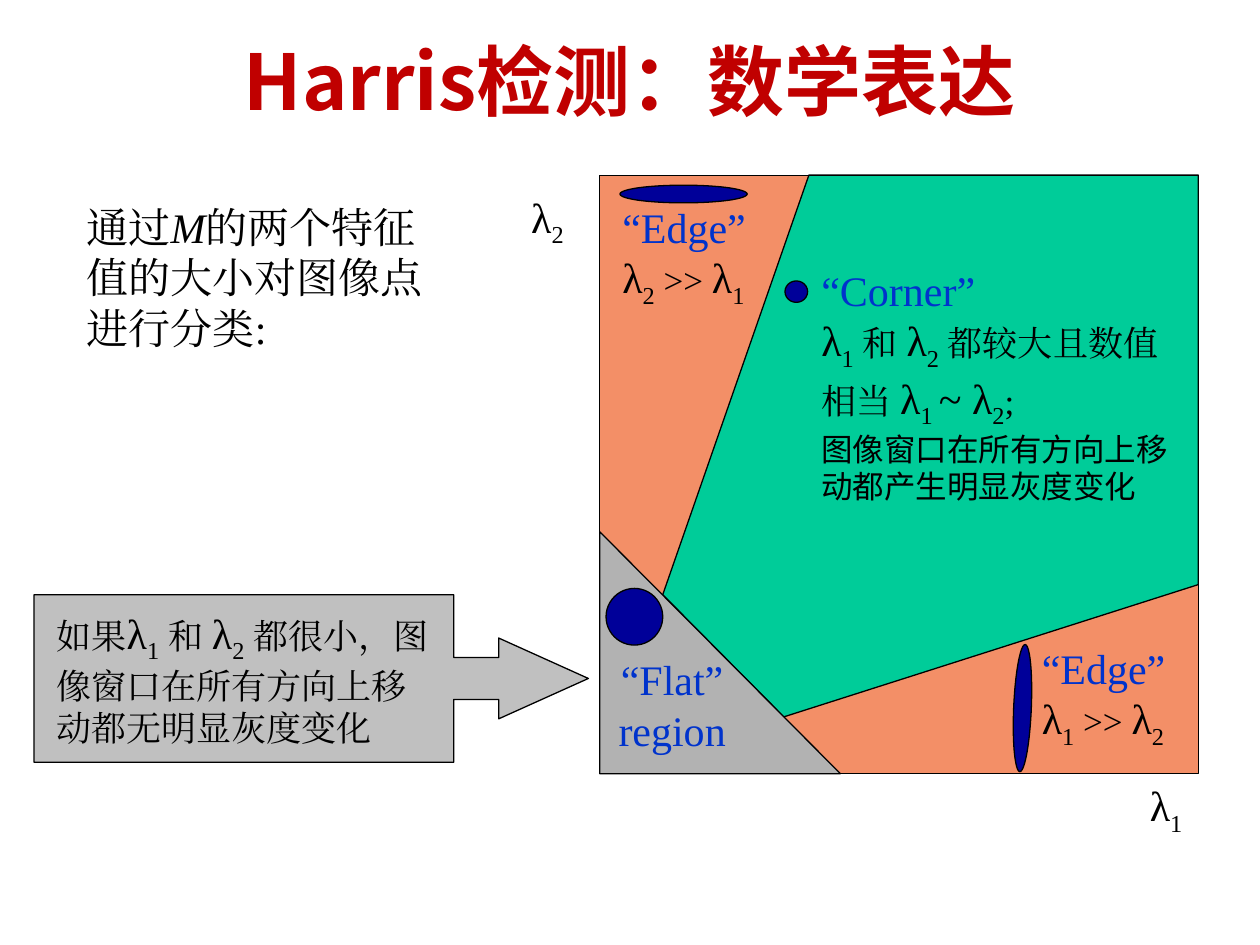
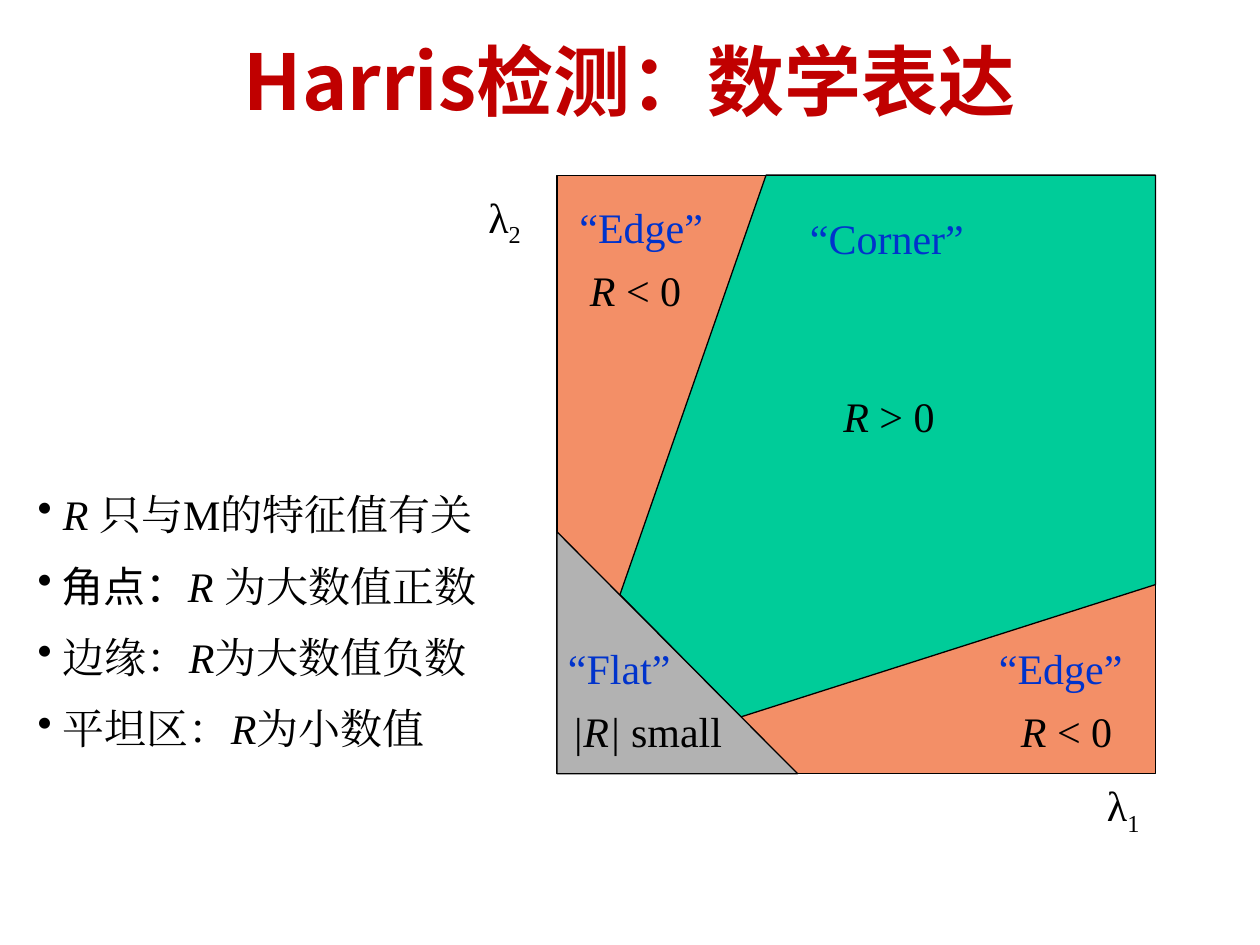
"""Build two slides on classifying image points by Harris eigenvalues."""
from dataclasses import dataclass

from lxml import etree
from pptx import Presentation
from pptx.dml.color import RGBColor
from pptx.enum.shapes import MSO_SHAPE
from pptx.enum.text import PP_ALIGN
from pptx.oxml.ns import qn
from pptx.util import Pt

PX = 9144
RECTANGLE = MSO_SHAPE.RECTANGLE
TRIANGLE = MSO_SHAPE.RIGHT_TRIANGLE
ELLIPSE = MSO_SHAPE.OVAL
CALLOUT = MSO_SHAPE.RIGHT_ARROW_CALLOUT
LEFT, CENTER = PP_ALIGN.LEFT, PP_ALIGN.CENTER


@dataclass(frozen=True)
class Theme:
    title: str = "C00000"
    ink: str = "000000"
    label: str = "0033CC"
    edge: str = "F38F67"
    corner: str = "00CC99"
    flat: str = "B2B2B2"
    callout: str = "C0C0C0"
    marker: str = "000099"
    title_font: str = "Noto Sans CJK SC"
    body_font: str = "Times New Roman"
    note_font: str = "Calibri"
    title_size: int = 44
    body_size: int = 24
    text_size: int = 20
    note_size: int = 18
    line_width: float = 0.75
    bullet_gap: int = 12


THEME = Theme()
TITLE = "Harris检测：数学表达"
SMALL = {"size": THEME.text_size}
NOTE = {"size": THEME.note_size, "font": THEME.note_font}
LABEL = {"color": THEME.label}
ITALIC_R = ("R", {"italic": True})


def eigenvalue(index):
    return ["λ", (index, {"subscript": True})]


def write(paragraph, text, size=THEME.body_size, font=THEME.body_font, color=THEME.ink,
          bold=False, italic=False, subscript=False):
    for number, line in enumerate(text.split("\n")):
        if number:
            paragraph.add_line_break()
        if not line:
            continue
        run = paragraph.add_run()
        run.text = line
        run.font.size = Pt(size)
        run.font.name = font
        run.font.bold = bold
        run.font.italic = italic
        run.font.color.rgb = RGBColor.from_string(color)
        properties = run.font._element
        etree.SubElement(properties, qn("a:ea"), typeface=font)
        if subscript:
            properties.set("baseline", "-25000")


class Deck:
    def __init__(self, theme):
        self.theme = theme
        self.presentation = Presentation()
        self.presentation.slide_width = 1000 * PX
        self.presentation.slide_height = 750 * PX
        self.slide = None

    def new_slide(self, title):
        self.slide = self.presentation.slides.add_slide(self.presentation.slide_layouts[6])
        style = {"size": self.theme.title_size, "font": self.theme.title_font,
                 "color": self.theme.title, "bold": True}
        self.text(50, 30, 900, 125, [[(title, style)]], align=CENTER, spacing=0.9)

    def paint(self, shape, fill):
        shape.shadow.inherit = False
        shape.fill.solid()
        shape.fill.fore_color.rgb = RGBColor.from_string(fill)
        shape.line.color.rgb = RGBColor.from_string(self.theme.ink)
        shape.line.width = Pt(self.theme.line_width)

    def shape(self, kind, left, top, width, height, fill, rotation=0, adjustments=()):
        shape = self.slide.shapes.add_shape(kind, left * PX, top * PX, width * PX, height * PX)
        shape.rotation = rotation
        for index, value in enumerate(adjustments):
            shape.adjustments[index] = value
        self.paint(shape, fill)

    def polygon(self, points, fill):
        builder = self.slide.shapes.build_freeform(*points[0], scale=PX)
        builder.add_line_segments(points[1:], close=True)
        self.paint(builder.convert_to_shape(), fill)

    def text(self, left, top, width, height, paragraphs, align=LEFT, wrap=True,
             bullet=None, spacing=None):
        box = self.slide.shapes.add_textbox(left * PX, top * PX, width * PX, height * PX)
        frame = box.text_frame
        frame.word_wrap = wrap
        for number, runs in enumerate(paragraphs):
            paragraph = frame.add_paragraph() if number else frame.paragraphs[0]
            paragraph.alignment = align
            if spacing:
                paragraph.line_spacing = spacing
            if number:
                paragraph.space_before = Pt(self.theme.bullet_gap)
            if bullet:
                properties = paragraph._p.get_or_add_pPr()
                properties.set("marL", "0")
                properties.set("indent", "0")
                etree.SubElement(properties, qn("a:buChar"), char=bullet)
            for run in runs:
                content, style = (run, {}) if isinstance(run, str) else run
                write(paragraph, content, **style)

    def region_map(self, left):
        self.shape(RECTANGLE, left, 139, 475, 475, self.theme.edge)
        self.text(left + 408, 614, 83, 50, [eigenvalue("1")], align=CENTER)
        self.text(left - 100, 147, 117, 50, [eigenvalue("2")], align=CENTER)
        corner = [(50, 472), (166, 139), (475, 139), (475, 464), (146, 569)]
        self.polygon([(left + x, y) for x, y in corner], self.theme.corner)
        self.shape(TRIANGLE, left, 422, 191, 192, self.theme.flat)


def classification_slide(deck):
    deck.new_slide(TITLE)
    deck.shape(CALLOUT, 27, 472, 440, 133, THEME.callout,
               adjustments=(0.25, 0.241, 0.535, 0.757))
    deck.region_map(476)
    both = [*eigenvalue("1"), (" 和 ", SMALL), *eigenvalue("2")]
    deck.text(642, 205, 306, 190, [[
        ("“Corner”\n", LABEL), *both, (" 都较大且数值相当 ", SMALL),
        "λ", ("1 ", {"subscript": True}), "~ ", *eigenvalue("2"), (";\n", SMALL),
        ("图像窗口在所有方向上移动都产生明显灰度变化", NOTE)]])
    deck.text(35, 477, 315, 117, [[
        ("如果", SMALL), *both, (" 都很小，图像窗口在所有方向上移动都无明显灰度变化", SMALL)]])
    for left, top, larger, smaller in ((817, 505, "1", "2"), (484, 155, "2", "1")):
        deck.text(left, top, 142, 90, [[
            ("“Edge”\n", LABEL), *eigenvalue(larger), (" >> ", SMALL), *eigenvalue(smaller)]])
    deck.text(467, 514, 133, 90, [[("“Flat” region", LABEL)]], align=CENTER)
    deck.text(59, 155, 292, 130, [[
        "通过", ("M", {"italic": True}), "的两个特征值的大小对图像点进行分类:"]])
    for left, top, width, height, rotation in (
            (623, 223, 18, 17, 0), (492, 147, 101, 14, 0),
            (481, 467, 45, 45, 0), (761, 555, 101, 14, 92.4)):
        deck.shape(ELLIPSE, left, top, width, height, THEME.marker, rotation)


def response_slide(deck):
    deck.new_slide(TITLE)
    deck.region_map(442)
    for left, top, width, name, align in (
            (633, 164, 292, "“Corner”", LEFT), (783, 505, 142, "“Edge”", LEFT),
            (450, 155, 142, "“Edge”", LEFT), (425, 505, 133, "“Flat”", CENTER)):
        deck.text(left, top, width, 50, [[(name, LABEL)]], align=align)
    deck.text(20, 383, 383, 230, [
        [" ", ("R ", {"italic": True}), "只与M的特征值有关"],
        [(" 角点：", {"font": THEME.note_font}), ("R ", {"italic": True}), "为大数值正数"],
        [" 边缘：", ITALIC_R, "为大数值负数"],
        [" 平坦区：", ITALIC_R, "为小数值"]], bullet="•")
    for left, top, width, symbol, condition in (
            (659, 305, 93, "R", " > 0"), (458, 205, 93, "R", " < 0"),
            (800, 555, 93, "R", " < 0"), (444, 555, 139, "|R|", " small")):
        deck.text(left, top, width, 50, [[(symbol, {"italic": True}), condition]],
                  align=CENTER, wrap=False)


def main():
    deck = Deck(THEME)
    classification_slide(deck)
    response_slide(deck)
    deck.presentation.save("out.pptx")


if __name__ == "__main__":
    main()
